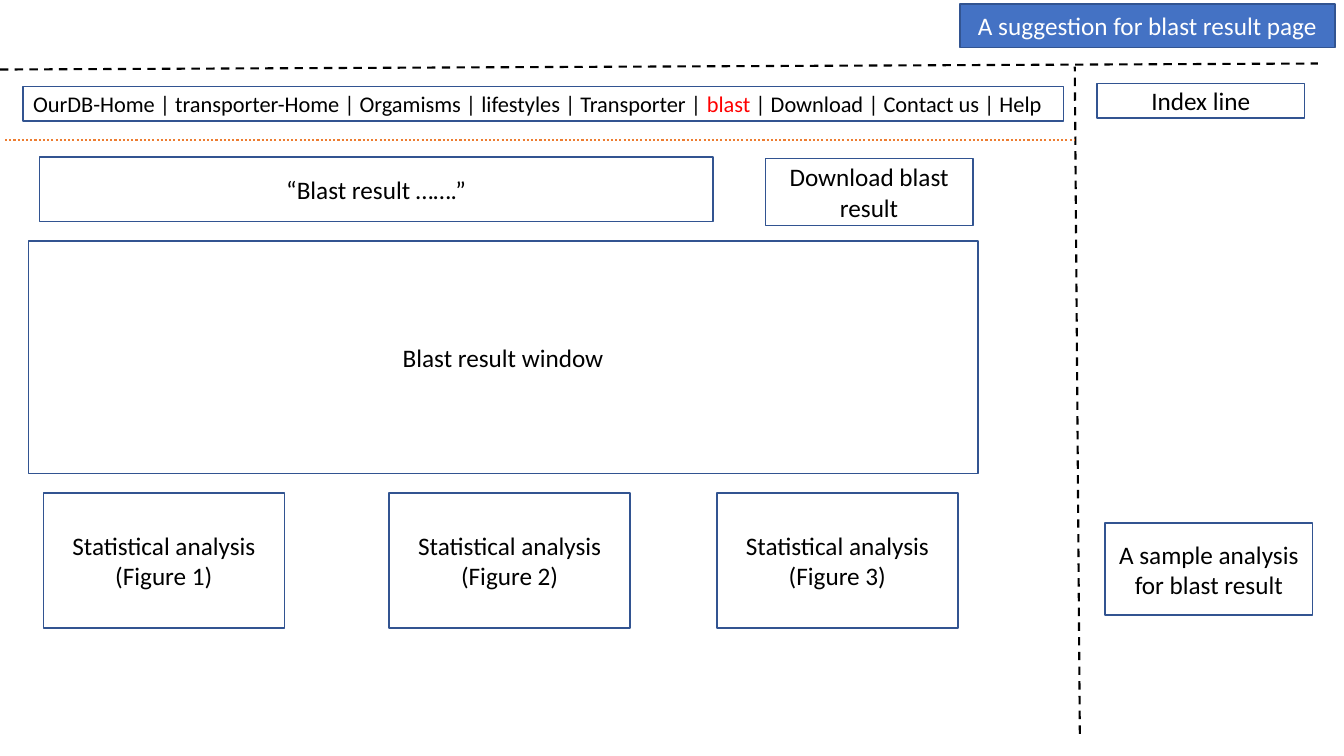
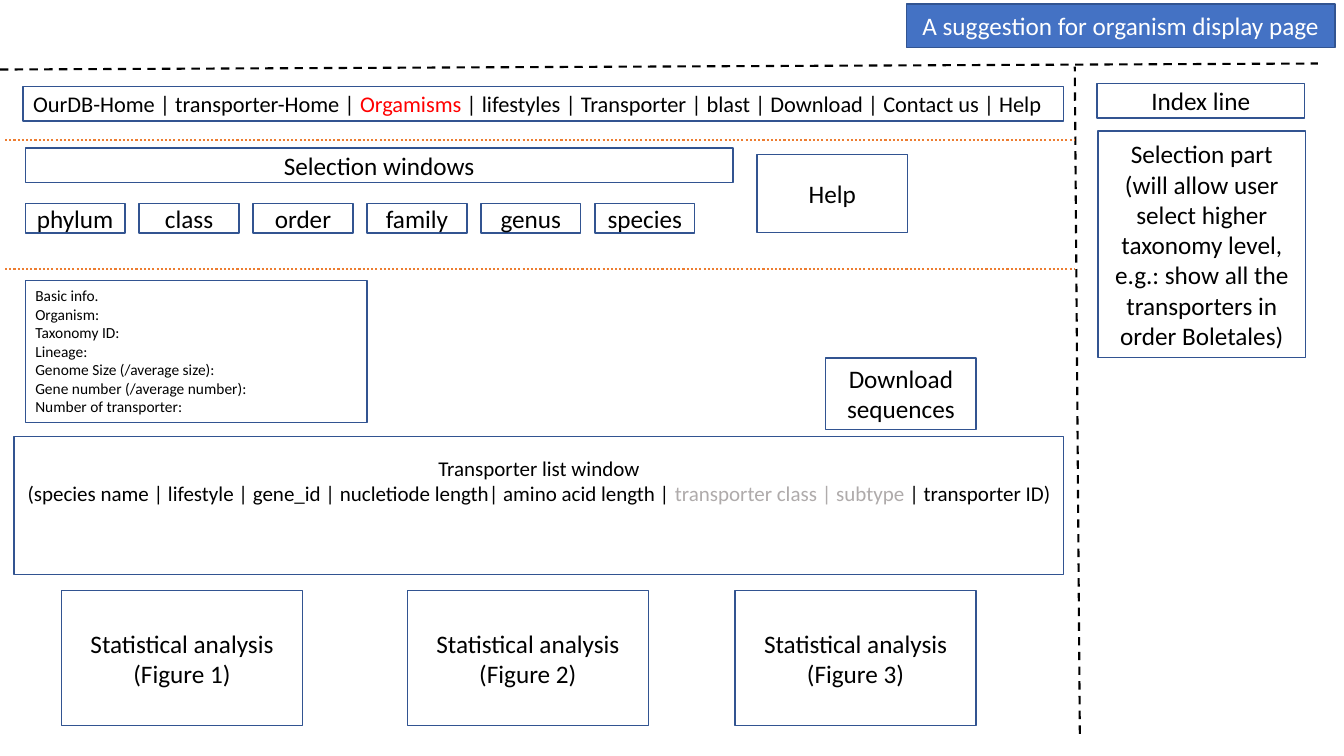
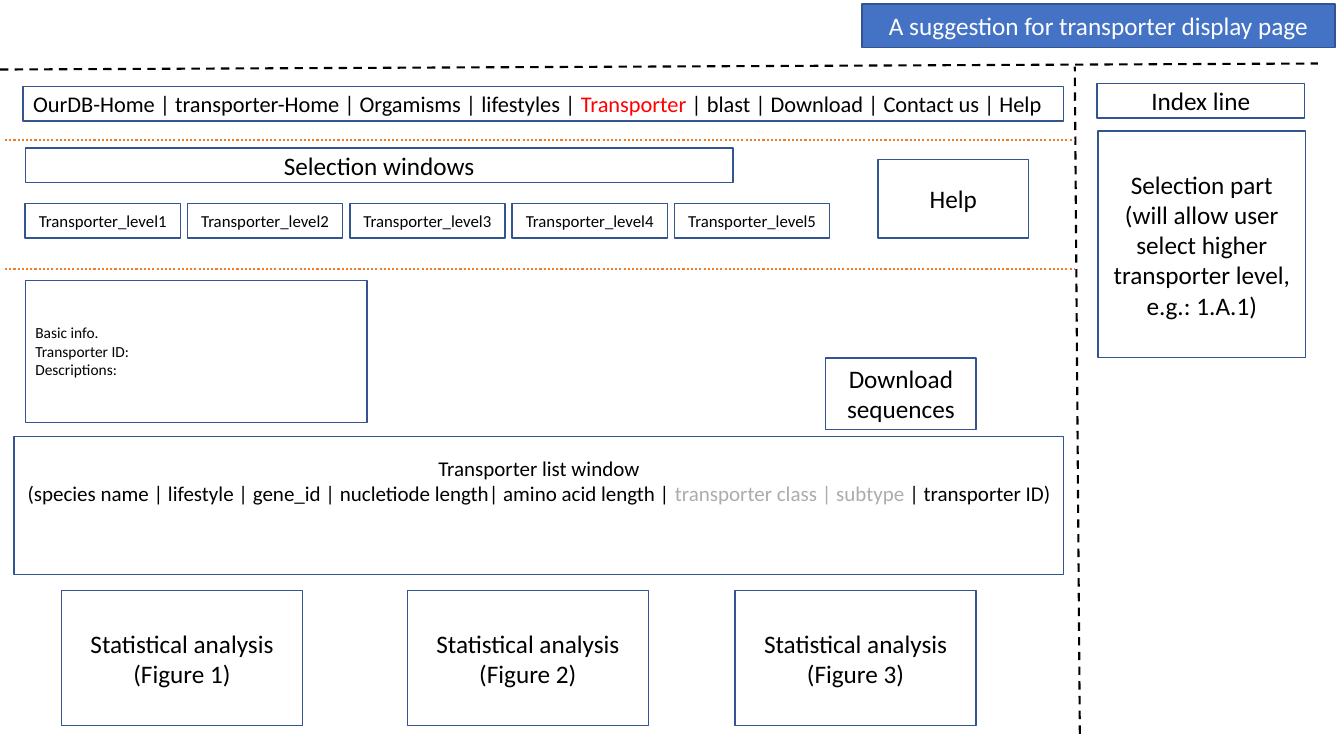
from collections import namedtuple

from lxml.etree import SubElement
from pptx import Presentation
from pptx.dml.color import RGBColor
from pptx.enum.dml import MSO_LINE
from pptx.enum.shapes import MSO_CONNECTOR, MSO_SHAPE
from pptx.enum.text import MSO_ANCHOR, MSO_AUTO_SIZE, PP_ALIGN
from pptx.oxml.ns import qn
from pptx.util import Inches, Pt

# Shared style
FONT = "Calibri"
BLACK, WHITE, RED, GREY = "000000", "FFFFFF", "FF0000", "AFABAB"
BLUE, OUTLINE, ORANGE = "4472C4", "325491", "ED7D31"
TITLE_AND_BODY, TITLE_ONLY = 1, 5

# Shared geometry
Box = namedtuple("Box", "left top width height")
BANNER_RIGHT = 13.24
MENU = Box(0.23, 0.86, 10.32, 0.34)
SIDEBAR = Box(10.88, 0.83, 2.06, 5.27)
SELECTION = Box(0.25, 1.47, 8.75, 0.89)
RECORD = Box(0.14, 2.78, 10.41, 2.92)
FIGURE_OFFSETS = (0, 3.43, 6.68)

MENU_ITEMS = ("OurDB-Home", "transporter-Home", "Orgamisms", "lifestyles",
              "Transporter", "blast", "Download", "Contact us", "Help")


def color(hex_string):
    return RGBColor.from_string(hex_string)


def inside(region, left, top, width, height):
    """Return a box whose corner is measured from the region's corner."""
    return Box(region.left + left, region.top + top, width, height)


def outline(shape, fill=None):
    if fill:
        shape.fill.solid()
        shape.fill.fore_color.rgb = color(fill)
    else:
        shape.fill.background()
    shape.line.color.rgb = color(OUTLINE)
    shape.line.width = Pt(1)


def move(shape, box):
    shape.left, shape.top, shape.width, shape.height = map(Inches, box)


def write(shape, text, size=18, ink=BLACK, align=PP_ALIGN.CENTER):
    frame = shape.text_frame
    frame.text = text
    frame.word_wrap = True
    frame.auto_size = MSO_AUTO_SIZE.NONE
    frame.vertical_anchor = MSO_ANCHOR.MIDDLE
    for para in frame.paragraphs:
        para.alignment = align
        for span in para.runs:
            span.font.name = FONT
            span.font.size = Pt(size)
            span.font.color.rgb = color(ink)


def highlight(para, phrase, ink):
    """Split a one-run paragraph and recolour the phrase."""
    size = para.runs[0].font.size
    before, match, after = para.text.partition(phrase)
    para.text = before
    for text in (match, after):
        para.add_run().text = text
    for span, span_ink in zip(para.runs, (BLACK, ink, BLACK)):
        span.font.name = FONT
        span.font.size = size
        span.font.color.rgb = color(span_ink)


def add_panel(page, box, text, **style):
    panel = page.shapes.add_shape(MSO_SHAPE.RECTANGLE, *map(Inches, box))
    panel.shadow.inherit = False
    outline(panel)
    write(panel, text, **style)
    return panel


def add_divider(page, start, end, ink=BLACK, dash=MSO_LINE.DASH):
    divider = page.shapes.add_connector(
        MSO_CONNECTOR.STRAIGHT, *map(Inches, start + end))
    divider.line.color.rgb = color(ink)
    divider.line.width = Pt(1.5)
    divider.line.dash_style = dash
    SubElement(divider._element.spPr, qn("a:effectLst"))


def add_section_rule(page, top):
    add_divider(page, (0.05, top), (10.66, top), ORANGE, MSO_LINE.ROUND_DOT)


def add_menu(page, box, current):
    text = " | ".join(MENU_ITEMS)
    menu = add_panel(page, box, text, size=16, align=PP_ALIGN.LEFT)
    highlight(menu.text_frame.paragraphs[0], current, RED)


def add_page(deck, layout, title, banner_width, current):
    """Add a page with its banner, menu, dividers and index line."""
    page = deck.slides.add_slide(deck.slide_layouts[layout])
    banner = page.shapes.title
    move(banner, Box(BANNER_RIGHT - banner_width, 0.04, banner_width, 0.43))
    outline(banner, BLUE)
    write(banner, title, ink=WHITE)
    add_divider(page, (0, 0.69), (13.07, 0.63))
    add_divider(page, (10.71, 7.28), (10.66, 0.66))
    add_section_rule(page, 1.39)
    add_menu(page, MENU, current)
    add_panel(page, inside(SIDEBAR, 0, 0, 2.06, 0.34), "Index line")
    return page


def add_figures(page, left, top):
    for number, offset in enumerate(FIGURE_OFFSETS, start=1):
        add_panel(page, Box(left + offset, top, 2.39, 1.34),
                  f"Statistical analysis\n(Figure {number})")


def add_selection(page, region, choices, size, pitch, choice_box, help_offset):
    """Add the selection heading, its row of choices and the help button."""
    add_panel(page, inside(region, 0, 0, 7.02, 0.34), "Selection windows")
    for index, choice in enumerate(choices):
        box = inside(region, index * pitch, 0.55, *choice_box)
        add_panel(page, box, choice, size=size)
    add_panel(page, inside(region, *help_offset, 1.49, 0.78), "Help")
    add_section_rule(page, 2.67)


def add_basic_info(page, box, fields):
    info = page.placeholders[1]
    move(info, box)
    outline(info)
    write(info, "\n".join(("Basic info.",) + fields), size=11,
          align=PP_ALIGN.LEFT)
    for para in info.text_frame.paragraphs:
        para.space_before = Pt(0)
        properties = para._p.get_or_add_pPr()
        properties.set("marL", "0")
        properties.set("indent", "0")
        SubElement(properties, qn("a:buNone"))


def add_record(page, region, fields):
    """Add the basic information, download button and transporter list."""
    add_basic_info(page, inside(region, 0.11, 0, 3.39, 1.41), fields)
    add_panel(page, inside(region, 8.05, 0.77, 1.49, 0.71),
              "Download sequences")
    listing = add_panel(
        page, inside(region, 0, 1.55, region.width, 1.37),
        "Transporter list window\n(species name | lifestyle | gene_id | "
        "nucletiode length| amino acid length | transporter class | subtype "
        "| transporter ID)", size=15)
    listing.text_frame.margin_bottom = Inches(0.55)
    highlight(listing.text_frame.paragraphs[1],
              "transporter class | subtype ", GREY)


def build_blast_page(deck):
    page = add_page(deck, TITLE_ONLY, "A suggestion for blast result page",
                    3.72, "blast")
    results = Box(0.28, 1.56, 9.42, 3.14)
    add_panel(page, inside(results, 0.11, 0, 6.68, 0.64),
              "“Blast result …….”")
    add_panel(page, inside(results, 7.31, 0.01, 2.06, 0.67),
              "Download blast result")
    add_panel(page, inside(results, 0, 0.83, results.width, 2.31),
              "Blast result window")
    add_figures(page, 0.43, 4.89)
    add_panel(page, inside(SIDEBAR, 0.08, 4.36, 2.06, 0.91),
              "A sample analysis for blast result")


def build_display_page(deck, title, banner_width, current, selection, hint,
                       fields):
    page = add_page(deck, TITLE_AND_BODY, title, banner_width, current)
    add_selection(page, SELECTION, **selection)
    add_panel(page, inside(SIDEBAR, 0.01, 0.47, 2.06, 2.25),
              f"Selection part\n(will allow user select higher {hint})")
    add_record(page, RECORD, fields)
    add_figures(page, 0.61, 5.86)


def main():
    deck = Presentation()
    deck.slide_width, deck.slide_height = Inches(13.33), Inches(7.5)

    build_blast_page(deck)
    build_display_page(
        deck, "A suggestion for organism display page", 4.25, "Orgamisms",
        selection=dict(
            choices=("phylum", "class", "order", "family", "genus", "species"),
            size=18, pitch=1.13, choice_box=(0.99, 0.29),
            help_offset=(7.26, 0.06)),
        hint="taxonomy level, e.g.: show all the transporters in order "
             "Boletales",
        fields=("Organism:", "Taxonomy ID:", "Lineage:",
                "Genome Size (/average size):",
                "Gene number (/average number):", "Number of transporter:"))
    build_display_page(
        deck, "A suggestion for transporter display page", 4.69, "Transporter",
        selection=dict(
            choices=[f"Transporter_level{level}" for level in range(1, 6)],
            size=12, pitch=1.61, choice_box=(1.54, 0.34),
            help_offset=(8.46, 0.11)),
        hint="transporter level, e.g.: 1.A.1",
        fields=("Transporter ID:", "Descriptions:"))

    deck.save("out.pptx")


if __name__ == "__main__":
    main()
